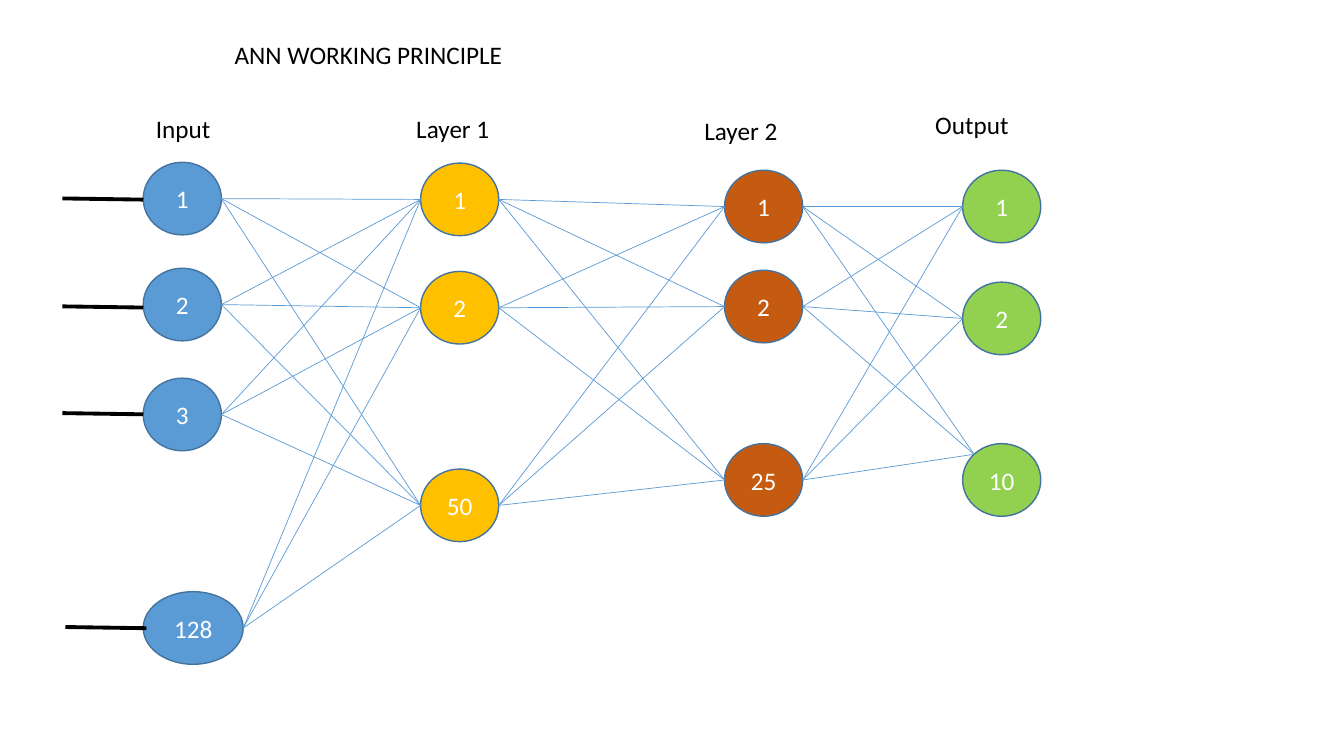
from itertools import pairwise, product
from math import sqrt

from lxml.etree import SubElement
from pptx import Presentation
from pptx.dml.color import RGBColor
from pptx.enum.shapes import MSO_CONNECTOR, MSO_SHAPE
from pptx.enum.text import MSO_ANCHOR, MSO_AUTO_SIZE, PP_ALIGN
from pptx.oxml.ns import qn
from pptx.util import Cm, Pt

TITLE = "ANN WORKING PRINCIPLE"
LAYERS = [
    {"label": "Input", "label_at": (3.68, 2.74), "left": 3.61, "fill": "5B9BD5",
     "nodes": [("1", 4.09), ("2", 6.76), ("3", 9.53), ("128", 14.91)]},
    {"label": "Layer 1", "label_at": (10.24, 2.74), "left": 10.6, "fill": "FFC000",
     "nodes": [("1", 4.11), ("2", 6.84), ("50", 11.82)]},
    {"label": "Layer 2", "label_at": (17.5, 2.77), "left": 18.26, "fill": "C55A11",
     "nodes": [("1", 4.29), ("2", 6.81), ("25", 11.18)]},
    {"label": "Output", "label_at": (23.32, 2.64), "left": 24.26, "fill": "92D050",
     "nodes": [("1", 4.29), ("2", 7.11), ("10", 11.18)]},
]
LEADS = [(1.57, 5), (1.57, 7.72), (1.57, 10.41), (1.65, 15.8)]
LEAD_W, LEAD_DROP = 2.04, 0.03
NODE_W, NODE_H = 1.97, 1.83
WIDE_NODES = {"128": 2.52}
CORNER_ENTRY = {"10"}
LABEL_W, LABEL_H = 2.44, 1.02


def color(value):
    return RGBColor.from_string(value)


def write(tf, text, value, align, anchor):
    tf.text = text
    tf.word_wrap = True
    tf.vertical_anchor = anchor
    p = tf.paragraphs[0]
    p.alignment = align
    p.font.name = "Calibri"
    p.font.size = Pt(18)
    p.font.color.rgb = color(value)


def add_label(text, left, top):
    sp = s.shapes.add_textbox(Cm(left), Cm(top), Cm(LABEL_W), Cm(LABEL_H))
    write(sp.text_frame, text, "000000", PP_ALIGN.LEFT, MSO_ANCHOR.TOP)


def add_node(text, left, top, fill):
    width = WIDE_NODES.get(text, NODE_W)
    sp = s.shapes.add_shape(MSO_SHAPE.OVAL, Cm(left), Cm(top), Cm(width), Cm(NODE_H))
    sp.shadow.inherit = False
    sp.fill.solid()
    sp.fill.fore_color.rgb = color(fill)
    sp.line.color.rgb = color("43739E")
    sp.line.width = Pt(1)
    write(sp.text_frame, text, "FFFFFF", PP_ALIGN.CENTER, MSO_ANCHOR.MIDDLE)


def add_line(start, end, value, width):
    line = s.shapes.add_connector(MSO_CONNECTOR.STRAIGHT, *map(Cm, start + end))
    line.line.color.rgb = color(value)
    line.line.width = Pt(width)
    SubElement(line._element.spPr, qn("a:effectLst"))


def exit_point(layer, node):
    text, top = node
    return layer["left"] + WIDE_NODES.get(text, NODE_W), top + NODE_H / 2


def entry_point(layer, node):
    text, top = node
    if text in CORNER_ENTRY:
        inset = (1 - sqrt(0.5)) / 2
        return layer["left"] + NODE_W * inset, top + NODE_H * inset
    return layer["left"], top + NODE_H / 2


prs = Presentation()
prs.slide_width, prs.slide_height = Cm(33.87), Cm(19.05)
s = prs.slides.add_slide(prs.slide_layouts[5])

title = s.shapes.title
title.left, title.top, title.width, title.height = map(Cm, (5.66, 0.86, 16.56, 1.02))
write(title.text_frame, TITLE, "000000", PP_ALIGN.LEFT, MSO_ANCHOR.TOP)
title.text_frame.auto_size = MSO_AUTO_SIZE.NONE

for layer in LAYERS:
    add_label(layer["label"], *layer["label_at"])
    for text, top in layer["nodes"]:
        add_node(text, layer["left"], top, layer["fill"])

for x, y in LEADS:
    add_line((x, y), (x + LEAD_W, y + LEAD_DROP), "000000", 2.75)

for source, target in pairwise(LAYERS):
    for a, b in product(source["nodes"], target["nodes"]):
        add_line(exit_point(source, a), entry_point(target, b), "5B9BD5", 0.5)

prs.save("out.pptx")
